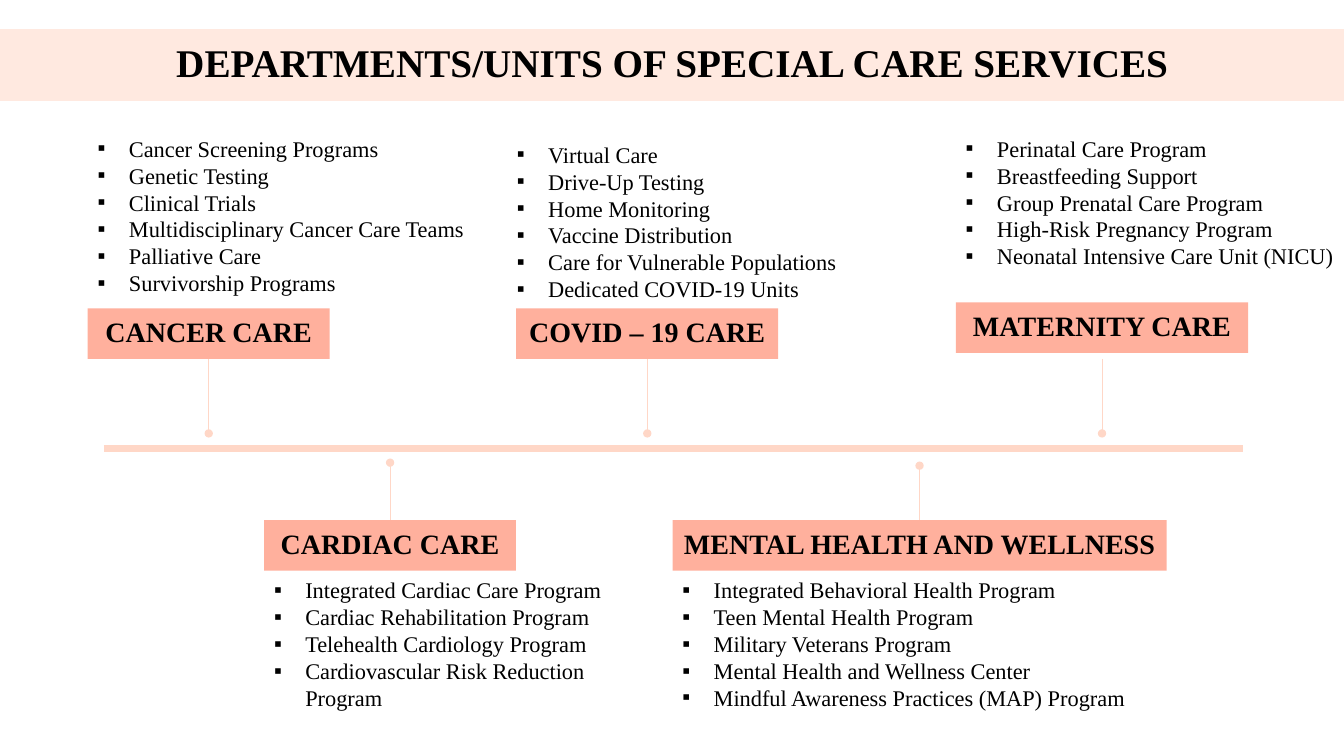
from pptx import Presentation
from pptx.dml.color import RGBColor
from pptx.enum.shapes import MSO_CONNECTOR as CONN, MSO_SHAPE as SHAPE
from pptx.enum.text import MSO_ANCHOR as ANCHOR, MSO_AUTO_SIZE as AUTO, PP_ALIGN as ALIGN
from pptx.oxml.ns import qn
from pptx.util import Inches, Pt
from lxml.etree import SubElement

W, H = Inches(13.33), Inches(7.5)
FONT = "Times New Roman"
BLACK, BAND, LABEL, LINE = "000000", "FFE9E0", "FFB09D", "FFD7C7"

# Vertical layout, in percent of the slide height
AXIS_Y, LABEL_H = 59.33, 6.67
UPPER_STEM, LOWER_STEM = (47.47, 57.33), 68.8

# name, label (left, top, width), stem (start, end), list box, items
DEPARTMENTS = [
    ("CANCER CARE", (6.53, 40.8, 18), UPPER_STEM, (6.53, 17.2, 30.08, 22.93),
     ["Cancer Screening Programs", "Genetic Testing", "Clinical Trials",
      "Multidisciplinary Cancer Care Teams", "Palliative Care",
      "Survivorship Programs"]),
    ("COVID – 19 CARE", (38.41, 40.8, 19.5), UPPER_STEM, (37.73, 18, 25.66, 22.93),
     ["Virtual Care", "Drive-Up Testing", "Home Monitoring",
      "Vaccine Distribution", "Care for Vulnerable Populations",
      "Dedicated COVID-19 Units"]),
    ("MATERNITY CARE", (71.12, 40, 21.75), UPPER_STEM, (71.12, 17.2, 28.88, 22.93),
     ["Perinatal Care Program", "Breastfeeding Support",
      "Group Prenatal Care Program", "High-Risk Pregnancy Program",
      "Neonatal Intensive Care Unit (NICU)"]),
    ("CARDIAC CARE", (19.65, 68.8, 18.75), (LOWER_STEM, 61.2), (19.65, 75.6, 28.73, 19.33),
     ["Integrated Cardiac Care Program", "Cardiac Rehabilitation Program",
      "Telehealth Cardiology Program", "Cardiovascular Risk Reduction Program"]),
    ("MENTAL HEALTH AND WELLNESS", (50.04, 68.8, 36.76), (LOWER_STEM, 61.6),
     (50.04, 75.6, 36.76, 19.33),
     ["Integrated Behavioral Health Program", "Teen Mental Health Program",
      "Military Veterans Program", "Mental Health and Wellness Center",
      "Mindful Awareness Practices (MAP) Program"]),
]


def rgb(value):
    return RGBColor.from_string(value)


def x(percent):
    return round(W * percent / 100)


def y(percent):
    return round(H * percent / 100)


def box(left, top, width, height):
    return x(left), y(top), x(width), y(height)


def set_attrs(obj, values):
    for name, value in values.items():
        setattr(obj, name, value)


def write(p, text, size, bold=False):
    r = p.add_run()
    r.text = text
    set_attrs(r.font, {"name": FONT, "size": Pt(size), "bold": bold})
    r.font.color.rgb = rgb(BLACK)


def fill(sp, color):
    sp.fill.solid()
    sp.fill.fore_color.rgb = rgb(color)


def write_heading(sp, text, size):
    tf = sp.text_frame
    set_attrs(tf, {"word_wrap": True, "auto_size": AUTO.NONE,
                   "vertical_anchor": ANCHOR.MIDDLE,
                   "margin_left": 0, "margin_right": 0,
                   "margin_top": 0, "margin_bottom": 0})
    p = tf.paragraphs[0]
    set_attrs(p, {"alignment": ALIGN.CENTER, "line_spacing": 0.9})
    write(p, text, size, bold=True)


def add_title(s, text):
    sp = s.shapes.title
    set_attrs(sp, dict(zip(("left", "top", "width", "height"),
                           box(0, 3.87, 100, 9.47))))
    fill(sp, BAND)
    write_heading(sp, text, 28)


def add_label(s, text, left, top, width):
    sp = s.shapes.add_shape(SHAPE.RECTANGLE, *box(left, top, width, LABEL_H))
    sp.shadow.inherit = False
    sp.line.fill.background()
    fill(sp, LABEL)
    write_heading(sp, text, 20)


def add_line(s, x1, y1, x2, y2, width, dot=False):
    cn = s.shapes.add_connector(CONN.STRAIGHT, x(x1), y(y1), x(x2), y(y2))
    cn.line.color.rgb = rgb(LINE)
    cn.line.width = Pt(width)
    spPr = cn._element.spPr
    if dot:
        SubElement(spPr.find(qn("a:ln")), qn("a:tailEnd"), type="oval")
    SubElement(spPr, qn("a:effectLst"))


def add_list(s, area, items):
    tf = s.shapes.add_textbox(*box(*area)).text_frame
    set_attrs(tf, {"word_wrap": True, "auto_size": AUTO.SHAPE_TO_FIT_TEXT})
    indent = Inches(0.31)
    for i, item in enumerate(items):
        p = tf.add_paragraph() if i else tf.paragraphs[0]
        pPr = p._p.get_or_add_pPr()
        pPr.set("marL", str(indent))
        pPr.set("indent", str(-indent))
        SubElement(pPr, qn("a:buFont"), typeface=FONT)
        SubElement(pPr, qn("a:buChar"), char="▪")
        write(p, item, 16)


def main():
    prs = Presentation()
    set_attrs(prs, {"slide_width": W, "slide_height": H})
    s = prs.slides.add_slide(prs.slide_layouts[5])

    # Title band and central axis
    add_title(s, "DEPARTMENTS/UNITS OF SPECIAL CARE SERVICES")
    add_line(s, 7.73, AXIS_Y, 92.5, AXIS_Y, 5)

    # Departments above and below the axis
    for name, (left, top, width), (start, end), area, items in DEPARTMENTS:
        middle = left + width / 2
        add_label(s, name, left, top, width)
        add_line(s, middle, start, middle, end, 0.5, dot=True)
        add_list(s, area, items)

    prs.save("out.pptx")


if __name__ == "__main__":
    main()
